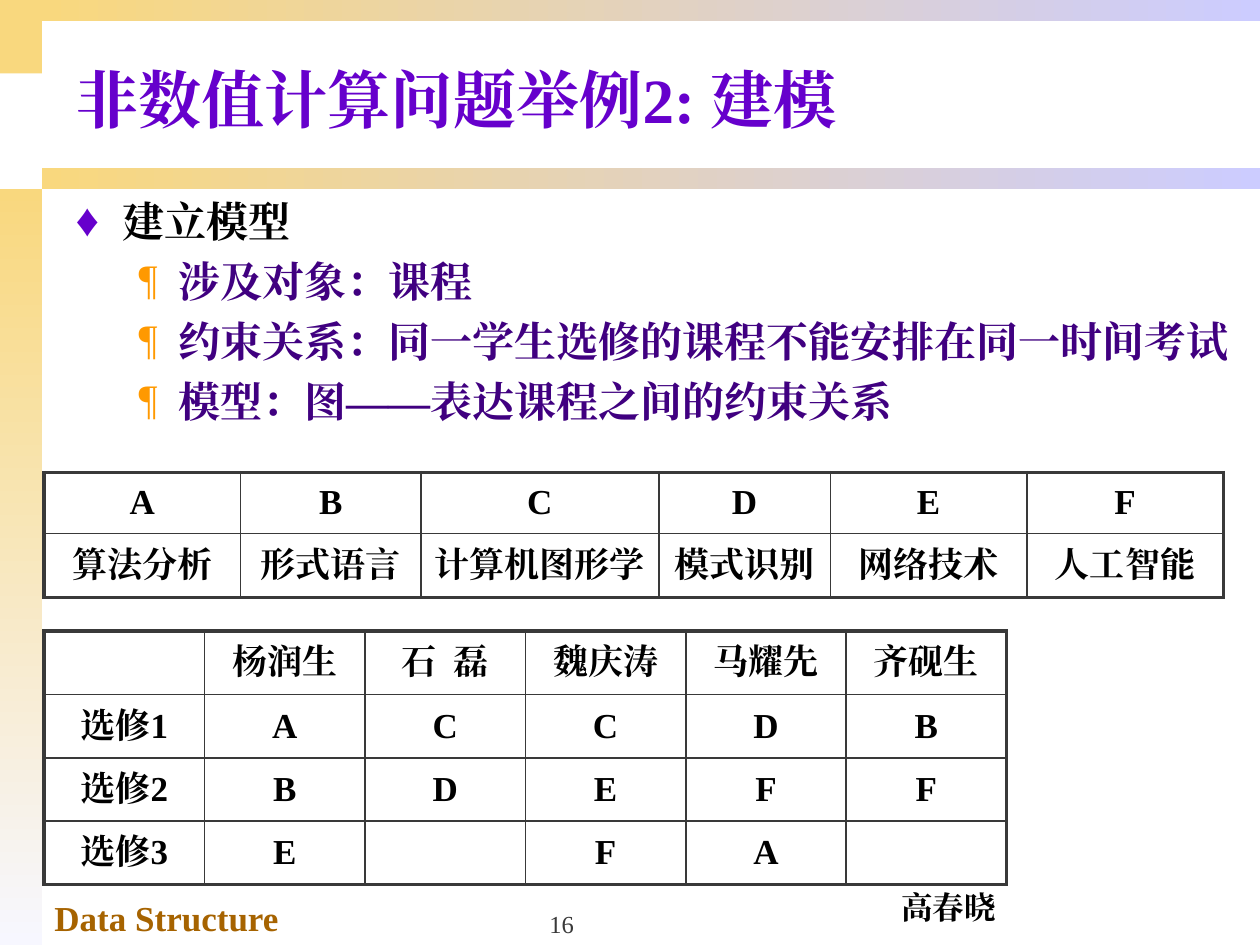
from lxml import etree
from pptx import Presentation, util as u
from pptx.dml.color import RGBColor
from pptx.enum import shapes, text
from pptx.oxml import ns

COLORS = {
    "gold": "F9D87E", "pale": "F7F7FF", "lilac": "CCCCFF", "white": "FFFFFF",
    "brown": "A66300", "black": "000000", "violet": "6600CC", "indigo": "400080",
    "orange": "FF9900", "gray": "393939",
}
FONT = "Times New Roman"

presentation = Presentation()
presentation.slide_width, presentation.slide_height = u.Inches(10), u.Inches(7.5)
slide = presentation.slides.add_slide(presentation.slide_layouts[1])
CELL = presentation.slide_width / 60  # grid of 60 columns and 45 rows


def grid(*lengths):
    """Turn grid units into slide lengths."""
    return [u.Emu(round(length * CELL)) for length in lengths]


def write(paragraph, words, size, color, bold=True):
    """Add one run in the same typeface for Latin and Chinese."""
    run = paragraph.add_run()
    run.text = words
    run.font.size, run.font.bold, run.font.name = u.Pt(size), bold, FONT
    run.font.color.rgb = RGBColor.from_string(COLORS[color])
    etree.SubElement(run.font._element, ns.qn("a:ea"), typeface=FONT)


# Frame bands: box, first colour, last colour, angle
bands = [
    ((0, 0, 2, 3.5), "gold", None, 0),
    ((0, 9, 2, 36), "gold", "pale", 270),
    ((2, 8, 58, 1), "gold", "lilac", 0),
    ((2, 0, 58, 1), "gold", "lilac", 0),
]
for box, first, last, angle in bands:
    band = slide.shapes.add_shape(shapes.MSO_SHAPE.RECTANGLE, *grid(*box))
    band.shadow.inherit = False
    band.line.fill.background()
    if last is None:
        band.fill.solid()
        band.fill.fore_color.rgb = RGBColor.from_string(COLORS[first])
        continue
    band.fill.gradient()
    band.fill.gradient_angle = angle
    for stop, color, position in zip(band.fill.gradient_stops, (first, last), (0, 1)):
        stop.color.rgb = RGBColor.from_string(COLORS[color])
        stop.position = position

# Title and list
title, body = slide.shapes.title, slide.placeholders[1]
for placeholder, box in ((title, (3, 1.5, 57, 6.4)), (body, (3, 9, 57, 32.5))):
    placeholder.left, placeholder.top, placeholder.width, placeholder.height = grid(*box)
    placeholder.text_frame.auto_size = text.MSO_AUTO_SIZE.NONE
    placeholder.text_frame.word_wrap = True

title.text_frame.vertical_anchor = text.MSO_ANCHOR.MIDDLE
heading = title.text_frame.paragraphs[0]
heading.alignment = text.PP_ALIGN.LEFT
write(heading, "非数值计算问题举例2: 建模", 36, "violet")

# Level: text colour, bullet, bullet colour, bullet size, left margin, hanging indent
levels = [
    ("black", "♦", "violet", 110, 2.25, 2.25),
    ("indigo", "¶", "orange", 100, 4.88, 1.88),
]
points = [
    (0, "建立模型"),
    (1, "涉及对象：课程"),
    (1, "约束关系：同一学生选修的课程不能安排在同一时间考试"),
    (1, "模型：图——表达课程之间的约束关系"),
]
for index, (level, words) in enumerate(points):
    color, bullet, bullet_color, bullet_size, margin, hanging = levels[level]
    frame = body.text_frame
    paragraph = frame.add_paragraph() if index else frame.paragraphs[0]
    paragraph.level = level
    paragraph.space_before = u.Pt(5.5)
    properties = paragraph._p.get_or_add_pPr()
    margin, hanging = grid(margin, hanging)
    properties.set("marL", str(margin))
    properties.set("indent", str(-hanging))
    tint = etree.SubElement(properties, ns.qn("a:buClr"))
    etree.SubElement(tint, ns.qn("a:srgbClr"), val=COLORS[bullet_color])
    etree.SubElement(properties, ns.qn("a:buSzPct"), val=str(bullet_size * 1000))
    etree.SubElement(properties, ns.qn("a:buFont"), typeface=FONT)
    etree.SubElement(properties, ns.qn("a:buChar"), char=bullet)
    write(paragraph, words, 24, color)

# Tables: top, column widths, row heights, cell fill, cell texts
courses = [
    list("ABCDEF"),
    ["算法分析", "形式语言", "计算机图形学", "模式识别", "网络技术", "人工智能"],
]
choices = [
    ["", "杨润生", "石  磊", "魏庆涛", "马耀先", "齐砚生"],
    ["选修1", "A", "C", "C", "D", "B"],
    ["选修2", "B", "D", "E", "F", "F"],
    ["选修3", "E", "", "F", "A", ""],
]
tables = [
    (22.5, [9.36, 8.58, 11.34, 8.16, 9.36, 9.36], [2.9, 3.05], None, courses),
    (30.05, [7.64] * 6, [3.02] * 4, "white", choices),
]
for top, widths, heights, fill, rows in tables:
    box = grid(2.1, top, sum(widths), sum(heights))
    table = slide.shapes.add_table(len(rows), len(widths), *box).table
    table.first_row = table.horz_banding = False
    for column, width in zip(table.columns, grid(*widths)):
        column.width = width
    for row, height in zip(table.rows, grid(*heights)):
        row.height = height
    for r, row in enumerate(rows):
        for c, words in enumerate(row):
            cell = table.cell(r, c)
            cell.vertical_anchor = text.MSO_ANCHOR.MIDDLE
            outer_edges = {
                "lnL": c == 0, "lnR": c == len(row) - 1,
                "lnT": r == 0, "lnB": r == len(rows) - 1,
            }
            for edge, is_outer in outer_edges.items():
                weight = u.Pt(2.25 if is_outer else 1)
                line = etree.SubElement(
                    cell._tc.get_or_add_tcPr(), ns.qn("a:" + edge), w=str(weight))
                paint = etree.SubElement(line, ns.qn("a:solidFill"))
                etree.SubElement(paint, ns.qn("a:srgbClr"), val=COLORS["gray"])
            if fill:
                cell.fill.solid()
                cell.fill.fore_color.rgb = RGBColor.from_string(COLORS[fill])
            else:
                cell.fill.background()
            paragraph = cell.text_frame.paragraphs[0]
            paragraph.alignment = text.PP_ALIGN.CENTER
            if words:
                write(paragraph, words, 20, "black")

# Footer: box, words, size, colour, bold, alignment, anchor, wrap
LEFT, CENTER = text.PP_ALIGN.LEFT, text.PP_ALIGN.CENTER
TOP, BOTTOM = text.MSO_ANCHOR.TOP, text.MSO_ANCHOR.BOTTOM
footers = [
    ((2, 42.4, 21, 2.6), "Data Structure", 20, "brown", True, LEFT, TOP, True),
    ((42.3, 42, 5.76, 2.4), "高春晓", 18, "black", True, CENTER, TOP, False),
    ((20.5, 42, 12.5, 3), "16", 14, "gray", False, CENTER, BOTTOM, True),
]
for box, words, size, color, bold, alignment, anchor, wrap in footers:
    frame = slide.shapes.add_textbox(*grid(*box)).text_frame
    frame.word_wrap, frame.vertical_anchor = wrap, anchor
    frame.paragraphs[0].alignment = alignment
    write(frame.paragraphs[0], words, size, color, bold)

presentation.save("out.pptx")
